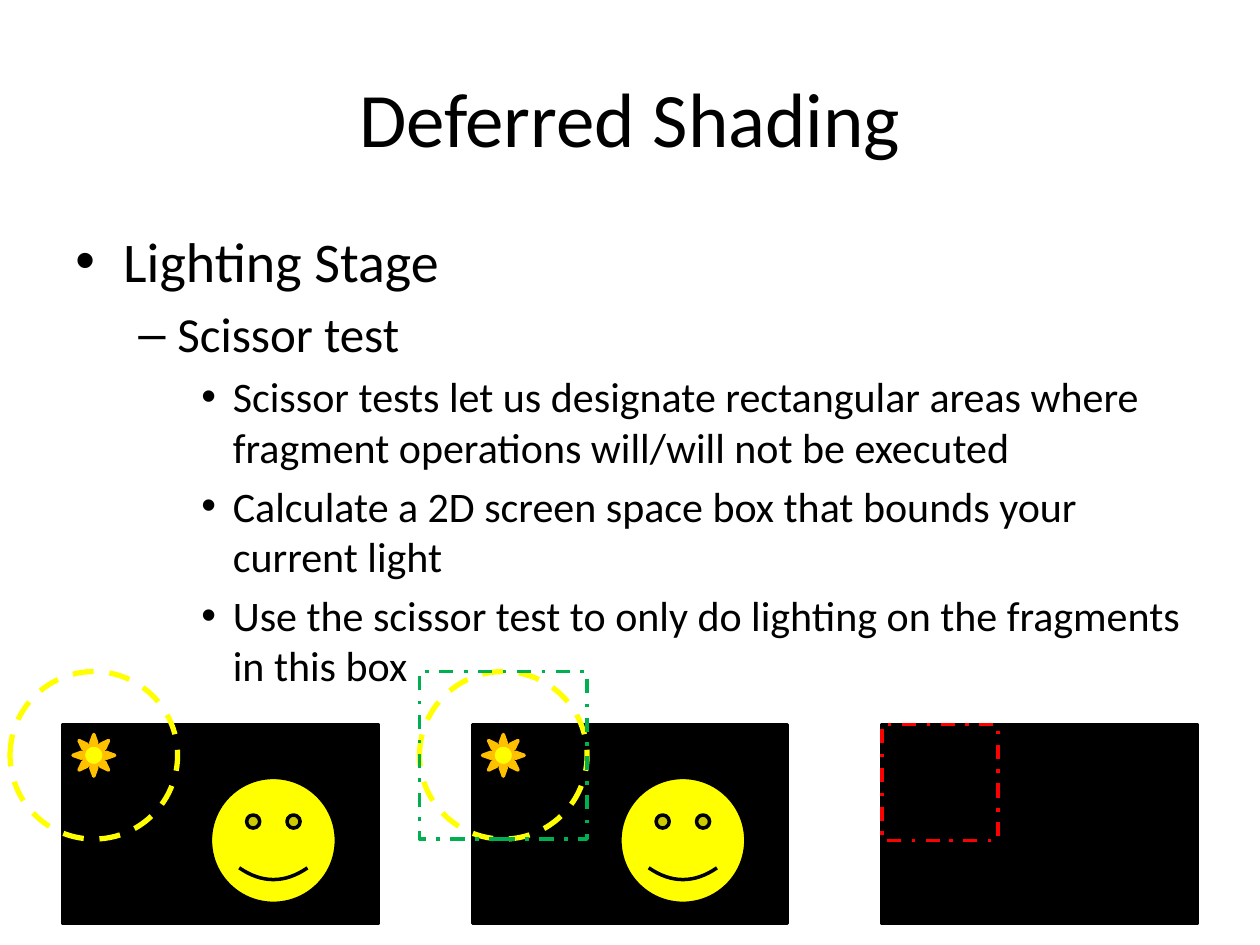
from pptx import Presentation
from pptx import util as u
from pptx.dml.color import RGBColor
from pptx.enum import dml, shapes, text
from pptx.oxml.ns import qn
from lxml import etree

BLACK = RGBColor(0x00, 0x00, 0x00)
YELLOW = RGBColor(0xFF, 0xFF, 0x00)
ORANGE = RGBColor(0xFF, 0xC0, 0x00)
GREEN = RGBColor(0x00, 0xB0, 0x50)
RED = RGBColor(0xFF, 0x00, 0x00)

SHAPE = shapes.MSO_SHAPE
DASH = dml.MSO_LINE.DASH
DASH_DOT = dml.MSO_LINE.DASH_DOT

# Per level: bullet, text size, left margin, hanging indent
LEVELS = [
    ("•", 32, 0.38, 0.38),
    ("–", 28, 0.81, 0.31),
    ("•", 24, 1.25, 0.25),
]


class SlideBuilder:
    font = "Calibri"

    def __init__(self, slide):
        self.slide = slide

    def text_frame(self, left, top, width, height, anchor):
        box = self.slide.shapes.add_textbox(
            u.Inches(left), u.Inches(top), u.Inches(width), u.Inches(height))
        frame = box.text_frame
        frame.word_wrap = True
        frame.vertical_anchor = anchor
        return frame

    def run(self, paragraph, words, size):
        run = paragraph.add_run()
        run.text = words
        run.font.name = self.font
        run.font.size = u.Pt(size)
        run.font.color.rgb = BLACK

    def title(self, words, *place):
        frame = self.text_frame(*place, text.MSO_ANCHOR.MIDDLE)
        paragraph = frame.paragraphs[0]
        paragraph.alignment = text.PP_ALIGN.CENTER
        self.run(paragraph, words, 44)

    def bullets(self, items, *place):
        frame = self.text_frame(*place, text.MSO_ANCHOR.TOP)
        for index, (level, words) in enumerate(items):
            paragraph = frame.add_paragraph() if index else frame.paragraphs[0]
            bullet, size, margin, hanging = LEVELS[level]
            paragraph.level = level
            paragraph.space_before = u.Pt(size * 0.2)
            properties = paragraph._p.get_or_add_pPr()
            properties.set("marL", str(u.Inches(margin)))
            properties.set("indent", str(-u.Inches(hanging)))
            etree.SubElement(properties, qn("a:buFont"), typeface="Arial")
            etree.SubElement(properties, qn("a:buChar"), char=bullet)
            self.run(paragraph, words, size)

    def shape(self, kind, left, top, width, height, line, fill=None,
              weight=2, dash=None):
        shape = self.slide.shapes.add_shape(
            kind, u.Inches(left), u.Inches(top), u.Inches(width), u.Inches(height))
        shape.shadow.inherit = False
        if fill is None:
            shape.fill.background()
        else:
            shape.fill.solid()
            shape.fill.fore_color.rgb = fill
        shape.line.color.rgb = line
        shape.line.width = u.Pt(weight)
        if dash is not None:
            shape.line.dash_style = dash

    def screen(self, left):
        self.shape(SHAPE.RECTANGLE, left, 5.75, 2.5, 1.58, BLACK, BLACK)

    def lit_scene(self, left):
        self.screen(left)
        self.shape(SHAPE.SMILEY_FACE, left + 1.17, 6.17, 1, 1, BLACK, YELLOW)
        self.shape(SHAPE.SUN, left + 0.08, 5.83, 0.33, 0.33, ORANGE, YELLOW)
        self.shape(SHAPE.OVAL, left - 0.42, 5.33, 1.33, 1.33, YELLOW,
                   weight=3, dash=DASH)

    def scissor_box(self, left, top, size, color):
        self.shape(SHAPE.RECTANGLE, left, top, size, size, color, dash=DASH_DOT)


def main():
    presentation = Presentation()
    presentation.slide_width = u.Inches(10)
    presentation.slide_height = u.Inches(7.5)
    builder = SlideBuilder(
        presentation.slides.add_slide(presentation.slide_layouts[6]))

    # Title and bullet text
    builder.title("Deferred Shading", 0.5, 0.3, 9, 1.25)
    builder.bullets([
        (0, "Lighting Stage"),
        (1, "Scissor test"),
        (2, "Scissor tests let us designate rectangular areas where "
            "fragment operations will/will not be executed"),
        (2, "Calculate a 2D screen space box that bounds your current light"),
        (2, "Use the scissor test to only do lighting on the fragments "
            "in this box"),
    ], 0.5, 1.75, 9, 4.95)

    # Three stages: light range, its bounding box, the clipped box
    first, second, third = (0.5 + 3.25 * step for step in range(3))
    builder.lit_scene(first)
    builder.lit_scene(second)
    builder.scissor_box(second - 0.42, 5.33, 1.33, GREEN)
    builder.screen(third)
    builder.scissor_box(third, 5.75, 0.92, RED)

    presentation.save("out.pptx")


if __name__ == "__main__":
    main()
